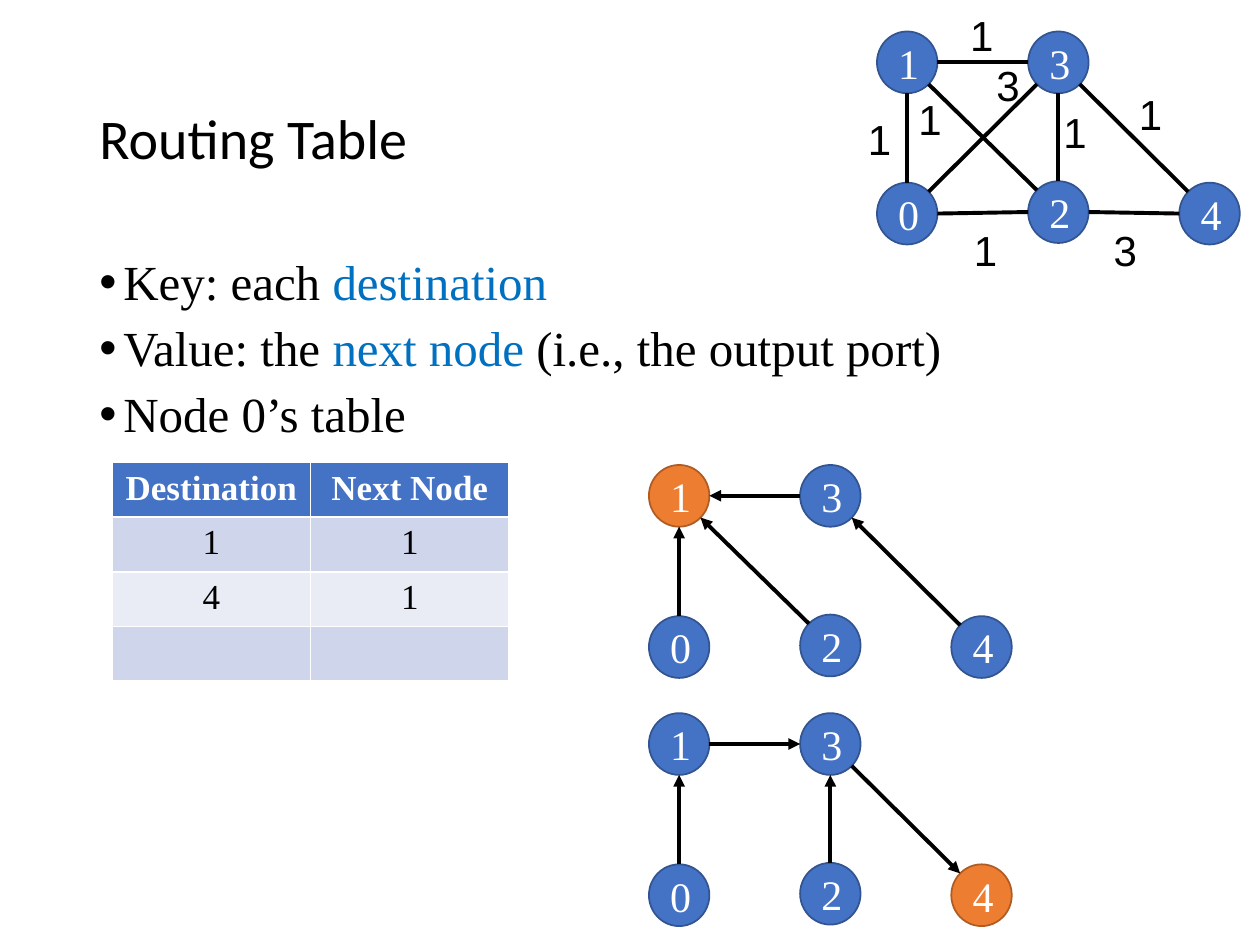
import pptx
import pptx.dml.color
import pptx.enum.shapes
import pptx.enum.text
import pptx.oxml.ns
import pptx.util
import lxml.etree
import math

Inches, Pt = pptx.util.Inches, pptx.util.Pt
CENTER = pptx.enum.text.PP_ALIGN.CENTER
MIDDLE = pptx.enum.text.MSO_ANCHOR.MIDDLE
SERIF = "Times New Roman"
WIDTH, HEIGHT = 10, 7.5
SPACING, NODE_W, NODE_H = 1.2, 0.48, 0.49
NODES = {"0": (0, 1), "1": (0, 0), "2": (1, 0.99), "3": (1, 0), "4": (2, 1)}


def color(value):
    return pptx.dml.color.RGBColor.from_string(value)


def style(font, size, name, shade, bold=False):
    font.size, font.name, font.bold = Pt(size), name, bold
    font.color.rgb = color(shade)


def add_child(parent, tag, **attributes):
    child = lxml.etree.SubElement(parent, pptx.oxml.ns.qn(tag))
    for key, value in attributes.items():
        child.set(key, value)


def text_frame(shapes, box, wrap=True):
    frame = shapes.add_textbox(*map(Inches, box)).text_frame
    frame.word_wrap = wrap
    return frame


def add_title(slide, box, wording):
    frame = text_frame(slide.shapes, box)
    frame.vertical_anchor = MIDDLE
    frame.text = wording
    heading = frame.paragraphs[0]
    heading.line_spacing = 0.9
    style(heading.runs[0].font, 32, "Calibri", "000000")


def add_bullets(slide, box, points):
    frame = text_frame(slide.shapes, box)
    for index, point in enumerate(points):
        paragraph = frame.add_paragraph() if index else frame.paragraphs[0]
        paragraph.line_spacing = 0.9
        paragraph.space_before = Pt(7.5 if index else 0)
        properties = paragraph._p.get_or_add_pPr()
        properties.set("marL", str(Inches(0.19)))
        properties.set("indent", str(-Inches(0.19)))
        add_child(properties, "a:buFont", typeface="Arial")
        add_child(properties, "a:buChar", char="•")
        for wording, shade in point:
            run = paragraph.add_run()
            run.text = wording
            style(run.font, 28, SERIF, shade)


def add_routing_table(slide, box, rows):
    table = slide.shapes.add_table(len(rows), len(rows[0]), *map(Inches, box)).table
    for row_index, row in enumerate(rows):
        header = row_index == 0
        fill = "4472C4" if header else ("E9EBF5", "CFD5EA")[row_index % 2]
        for column_index, wording in enumerate(row):
            cell = table.cell(row_index, column_index)
            cell.fill.solid()
            cell.fill.fore_color.rgb = color(fill)
            cell.text = wording
            paragraph = cell.text_frame.paragraphs[0]
            paragraph.alignment = CENTER
            style(paragraph.font, 20, SERIF, "FFFFFF" if header else "000000", header)


def add_node(shapes, center, name, is_destination):
    x, y = center
    node = shapes.add_shape(
        pptx.enum.shapes.MSO_SHAPE.OVAL,
        Inches(x - NODE_W / 2), Inches(y - NODE_H / 2), Inches(NODE_W), Inches(NODE_H))
    node.shadow.inherit = False
    node.fill.solid()
    node.fill.fore_color.rgb = color("ED7D31" if is_destination else "4472C4")
    node.line.color.rgb = color("AF5C24" if is_destination else "325491")
    node.line.width = Pt(1)
    node.text_frame.text = name
    node.text_frame.vertical_anchor = MIDDLE
    label = node.text_frame.paragraphs[0]
    label.alignment = CENTER
    style(label.runs[0].font, 24, SERIF, "FFFFFF")


def rim_point(center, toward):
    steps = [round((there - here) / SPACING) for here, there in zip(center, toward)]
    length = math.hypot(*steps)
    return [here + step / length * size / 2
            for here, step, size in zip(center, steps, (NODE_W, NODE_H))]


def add_edge(shapes, start, end, directed):
    ends = rim_point(start, end) + rim_point(end, start)
    edge = shapes.add_connector(
        pptx.enum.shapes.MSO_CONNECTOR.STRAIGHT, *map(Inches, ends))
    edge.line.color.rgb = color("000000")
    edge.line.width = Pt(2.25)
    if directed:
        add_child(edge.line._get_or_add_ln(), "a:tailEnd", type="triangle")
    add_child(edge._element.spPr, "a:effectLst")


def add_graph(slide, left, top, edges, destination=None, weights=()):
    shapes = slide.shapes.add_group_shape().shapes
    centers = {name: (left + NODE_W / 2 + column * SPACING, top + NODE_H / 2 + row * SPACING)
               for name, (column, row) in NODES.items()}
    for name, center in centers.items():
        add_node(shapes, center, name, name == destination)
    for start, end in edges:
        add_edge(shapes, centers[start], centers[end], destination is not None)
    for weight, x, y in weights:
        frame = text_frame(shapes, (left + x, top + y, 0.39, 0.5), wrap=False)
        frame.text = weight
        style(frame.paragraphs[0].runs[0].font, 24, "Arial", "000000")


def main():
    deck = pptx.Presentation()
    deck.slide_width, deck.slide_height = Inches(WIDTH), Inches(HEIGHT)
    slide = deck.slides.add_slide(deck.slide_layouts[6])
    margin = 0.069 * WIDTH
    add_title(slide, (margin, 0.4, WIDTH - 2 * margin, 1.45), "Routing Table")
    black, blue = "000000", "0070C0"
    add_bullets(slide, (margin, 2, WIDTH - 2 * margin, 4.76), [
        [("Key: each ", black), ("destination", blue)],
        [("Value: the", black), (" next node ", blue), ("(i.e., the output port)", black)],
        [("Node 0’s table", black)],
    ])
    add_routing_table(slide, (0.89, 3.67, 3.15, 1.64), [
        ("Destination", "Next Node"), ("1", "1"), ("4", "1"), ("", "")])
    add_graph(slide, 6.96, 0.25, ["01", "13", "34", "23", "12", "02", "24", "03"], weights=[
        ("1", -0.17, 0.6), ("1", 0.64, -0.22), ("1", 1.98, 0.4), ("1", 0.67, 1.48),
        ("1", 1.38, 0.55), ("3", 1.78, 1.48), ("3", 0.85, 0.17), ("1", 0.23, 0.44)])
    add_graph(slide, 5.15, 3.69, ["01", "31", "43", "21"], destination="1")
    add_graph(slide, 5.15, 5.66, ["01", "13", "34", "23"], destination="4")
    deck.save("out.pptx")


if __name__ == "__main__":
    main()
